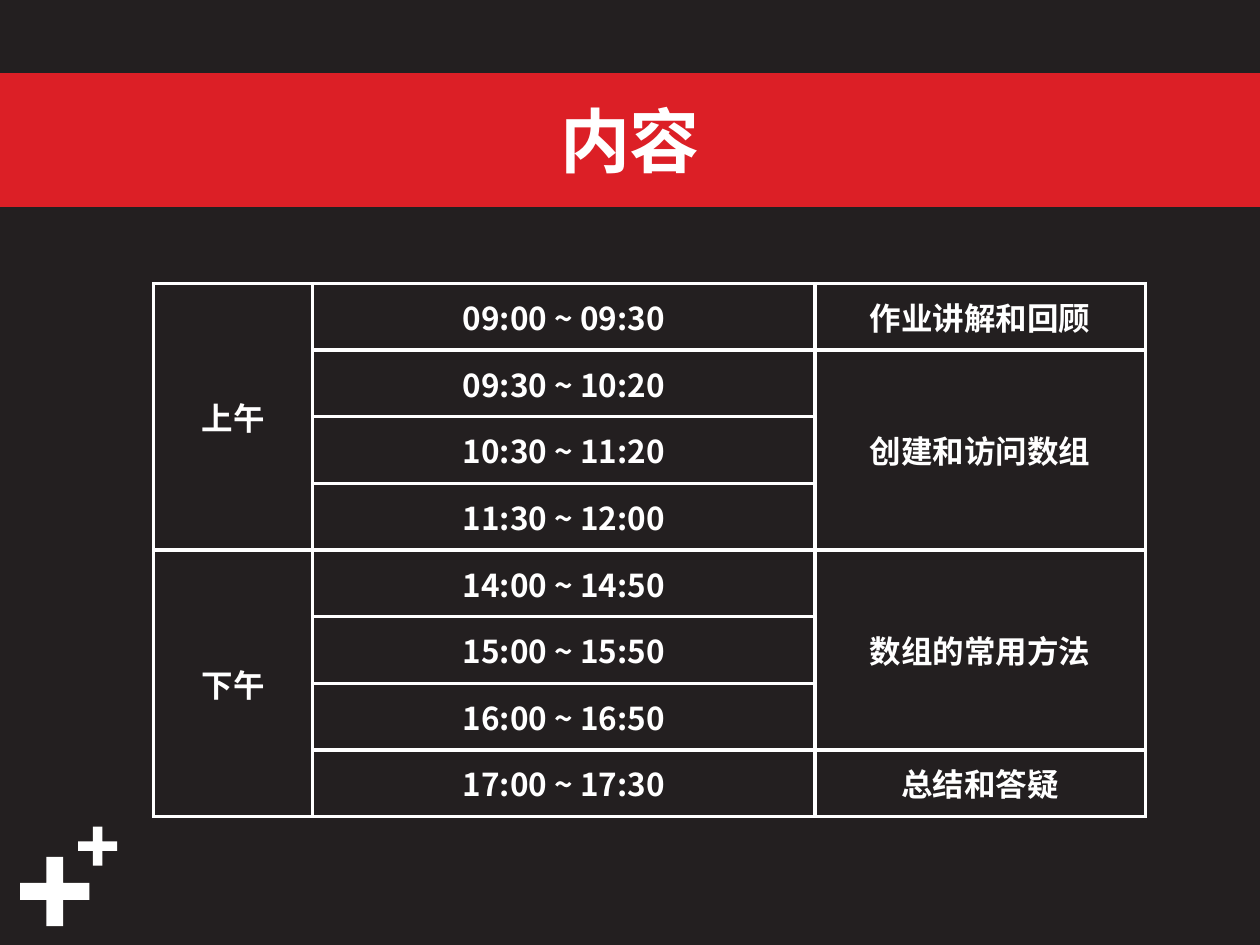
import pptx
import pptx.dml.color
import pptx.enum.shapes
import pptx.enum.text
import pptx.oxml
import pptx.oxml.ns
import pptx.util
from pptx.util import Inches

FONT = "Noto Sans CJK SC"
WHITE, RED, DARK = "FFFFFF", "DC1F26", "231F20"

TIMES = [
    "09:00 ~ 09:30", "09:30 ~ 10:20", "10:30 ~ 11:20", "11:30 ~ 12:00",
    "14:00 ~ 14:50", "15:00 ~ 15:50", "16:00 ~ 16:50", "17:00 ~ 17:30",
]
# Each block: text, number of rows it covers
HALF_DAYS = [("上午", 4), ("下午", 4)]
TOPICS = [("作业讲解和回顾", 1), ("创建和访问数组", 3),
          ("数组的常用方法", 3), ("总结和答疑", 1)]


def color(hex_code):
    return pptx.dml.color.RGBColor.from_string(hex_code)


def paint(target, hex_code):
    target.fill.solid()
    target.fill.fore_color.rgb = color(hex_code)


def write(frame, text, size=18, bold=True, hex_code=WHITE):
    """Put one centred line of text into a text frame."""
    paragraph = frame.paragraphs[0]
    paragraph.alignment = pptx.enum.text.PP_ALIGN.CENTER
    run = paragraph.add_run()
    run.text = text
    run.font.size = pptx.util.Pt(size)
    run.font.bold = bold
    run.font.name = FONT
    run.font.color.rgb = color(hex_code)
    east_asian = pptx.oxml.parse_xml(
        f'<a:ea {pptx.oxml.ns.nsdecls("a")} typeface="{FONT}"/>')
    run.font._element.find(pptx.oxml.ns.qn("a:latin")).addnext(east_asian)


def add_title_band(slide, text):
    title = slide.shapes.title
    title.left, title.top = Inches(0), Inches(0.6)
    title.width, title.height = Inches(10), Inches(1.02)
    paint(title, RED)
    title.line.color.rgb = color(RED)
    title.line.width = pptx.util.Pt(3)
    title.text_frame.vertical_anchor = pptx.enum.text.MSO_ANCHOR.MIDDLE
    write(title.text_frame, text, size=40)


def add_plus(slide, left, top, size):
    plus = slide.shapes.add_shape(
        pptx.enum.shapes.MSO_SHAPE.CROSS,
        Inches(left), Inches(top), Inches(size), Inches(size))
    plus.adjustments[0] = 0.378
    plus.shadow.inherit = False
    paint(plus, WHITE)
    plus.line.fill.background()


def set_borders(cell, hex_code, points):
    properties = cell._tc.get_or_add_tcPr()
    for index, side in enumerate(("lnL", "lnR", "lnT", "lnB")):
        properties.insert(index, pptx.oxml.parse_xml(
            f'<a:{side} {pptx.oxml.ns.nsdecls("a")} w="{int(points * 12700)}">'
            f'<a:solidFill><a:srgbClr val="{hex_code}"/></a:solidFill></a:{side}>'))


def fill_column(schedule, column, blocks):
    row = 0
    for text, span in blocks:
        cell = schedule.cell(row, column)
        if span > 1:
            cell.merge(schedule.cell(row + span - 1, column))
        write(cell.text_frame, text)
        row += span


def add_schedule(slide):
    columns = [HALF_DAYS, [(time, 1) for time in TIMES], TOPICS]
    schedule = slide.shapes.add_table(
        len(TIMES), len(columns), Inches(1.22), Inches(2.25),
        Inches(7.87), Inches(4.23)).table
    schedule.first_row = schedule.horz_banding = False
    for column, width in zip(schedule.columns, (1.26, 3.99, 2.62)):
        column.width = Inches(width)
    for cell in schedule.iter_cells():
        cell.fill.background()
        cell.vertical_anchor = pptx.enum.text.MSO_ANCHOR.MIDDLE
        set_borders(cell, WHITE, 2.25)
    for index, blocks in enumerate(columns):
        fill_column(schedule, index, blocks)


def main():
    deck = pptx.Presentation()
    deck.slide_width, deck.slide_height = Inches(10), Inches(7.5)
    slide = deck.slides.add_slide(deck.slide_layouts[5])
    paint(slide.background, DARK)

    # Corner decoration
    add_plus(slide, 0.16, 6.8, 0.55)
    add_plus(slide, 0.62, 6.56, 0.31)

    # Heading and timetable
    add_title_band(slide, "内容")
    add_schedule(slide)

    deck.save("out.pptx")


main()
